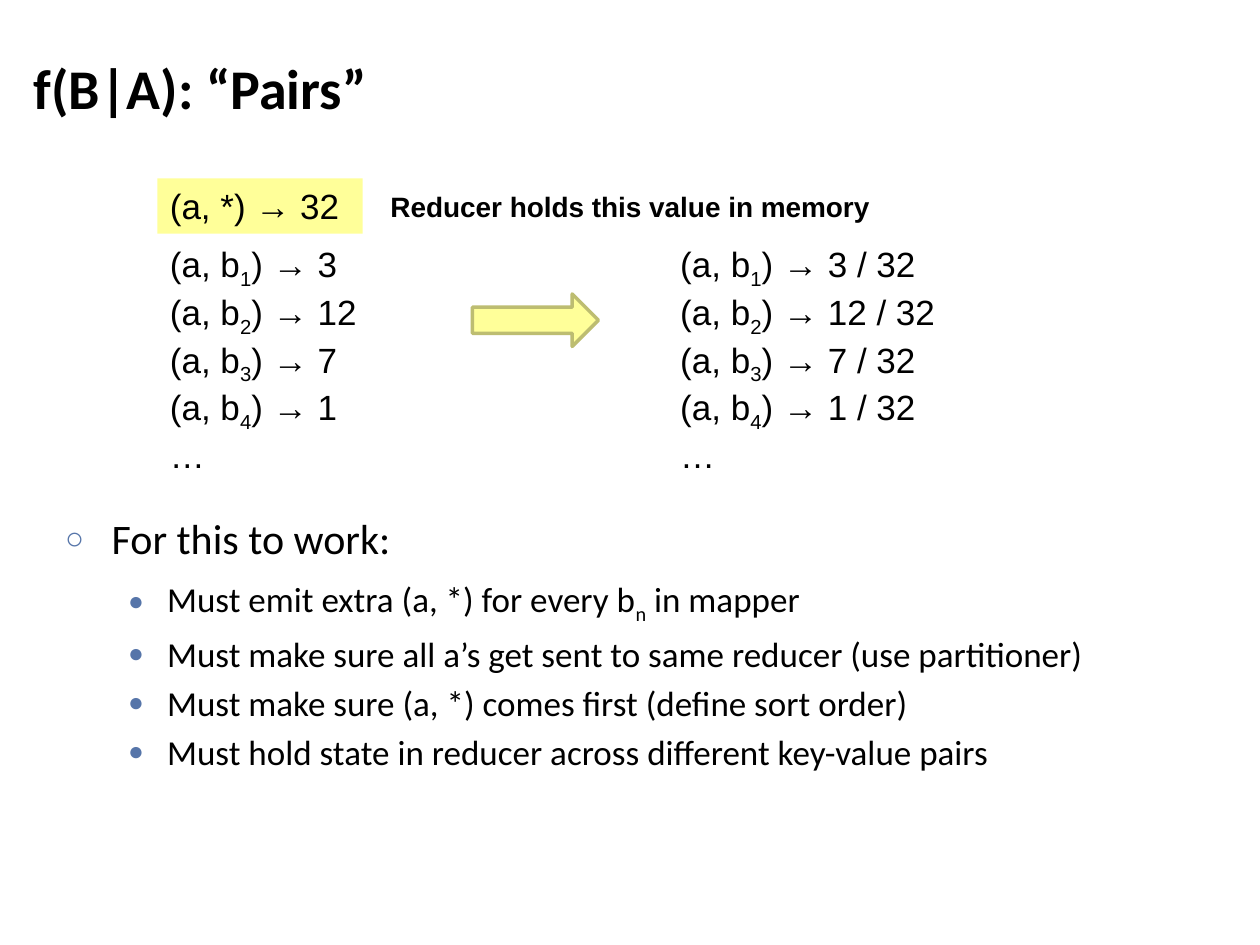
from dataclasses import dataclass

from lxml import etree
from pptx import Presentation
from pptx.dml.color import RGBColor
from pptx.enum.shapes import MSO_SHAPE
from pptx.enum.text import MSO_ANCHOR, MSO_AUTO_SIZE, PP_ALIGN
from pptx.oxml.ns import qn
from pptx.util import Inches, Pt

LEFT = PP_ALIGN.LEFT
MIDDLE, TOP = MSO_ANCHOR.MIDDLE, MSO_ANCHOR.TOP
NO_FIT, GROW = MSO_AUTO_SIZE.NONE, MSO_AUTO_SIZE.SHAPE_TO_FIT_TEXT
RECTANGLE, RIGHT_ARROW = MSO_SHAPE.RECTANGLE, MSO_SHAPE.RIGHT_ARROW

BLACK, YELLOW, OLIVE, BLUE = "000000", "FFFF99", "BDBD71", "5675A9"
HEADING_FONT, PAIR_FONT = "Calibri", "Arial"

# The slide is a grid of 240 columns by 180 rows
SLIDE_WIDTH, SLIDE_HEIGHT = Inches(10), Inches(7.5)
COLUMN, ROW = SLIDE_WIDTH / 240, SLIDE_HEIGHT / 180


@dataclass
class Area:
    column: float
    row: float
    columns: float
    rows: float

    def box(self) -> tuple[int, int, int, int]:
        return (int(self.column * COLUMN), int(self.row * ROW),
                int(self.columns * COLUMN), int(self.rows * ROW))


@dataclass
class Level:
    depth: int
    bullet: str
    size: float
    margin: float
    hanging: float
    gap: float


@dataclass
class PairList:
    area: Area
    suffix: str


TOPIC = Level(0, "○", 24, 0.37, 0.37, 6)
DETAIL = Level(1, "●", 20, 0.81, 0.31, 2)
REQUIREMENTS = [
    (TOPIC, "For this to work:"),
    (DETAIL, "Must emit extra (a, *) for every b~n~ in mapper"),
    (DETAIL, "Must make sure all a’s get sent to same reducer (use partitioner)"),
    (DETAIL, "Must make sure (a, *) comes first (define sort order)"),
    (DETAIL, "Must hold state in reducer across different key-value pairs"),
]
COUNTS = [3, 12, 7, 1]
PAIR_LISTS = [PairList(Area(30, 45, 42.7, 42.7), ""),
              PairList(Area(127.2, 45, 54, 42.7), " / 32")]


def colour(value: str) -> RGBColor:
    return RGBColor.from_string(value)


def write(paragraph, text: str, *, size: float, font: str, bold: bool = False) -> None:
    """Write one paragraph; parts between tildes are subscripts."""
    paragraph.alignment = LEFT
    for index, part in enumerate(text.split("~")):
        run = paragraph.add_run()
        run.text = part
        run.font.size, run.font.name, run.font.bold = Pt(size), font, bold
        run.font.color.rgb = colour(BLACK)
        if index % 2:
            run.font._element.set("baseline", "-25000")


def paragraph_at(frame, index: int):
    return frame.paragraphs[0] if index == 0 else frame.add_paragraph()


def fill_label(shape, lines: list[str], *, size: float, bold: bool = False) -> None:
    frame = shape.text_frame
    frame.word_wrap, frame.auto_size = False, GROW
    frame.vertical_anchor = TOP
    for index, line in enumerate(lines):
        write(paragraph_at(frame, index), line, size=size, font=PAIR_FONT, bold=bold)


def add_yellow_shape(shapes, kind, area: Area):
    shape = shapes.add_shape(kind, *area.box())
    shape.shadow.inherit = False
    shape.fill.solid()
    shape.fill.fore_color.rgb = colour(YELLOW)
    return shape


def place(placeholder, area: Area, anchor) -> None:
    placeholder.left, placeholder.top, placeholder.width, placeholder.height = area.box()
    frame = placeholder.text_frame
    frame.word_wrap, frame.auto_size = True, NO_FIT
    frame.vertical_anchor = anchor


def set_bullet(paragraph, level: Level) -> None:
    paragraph.level = level.depth
    properties = paragraph._p.get_or_add_pPr()
    properties.set("marL", str(Inches(level.margin)))
    properties.set("indent", str(-Inches(level.hanging)))
    bullet_colour = etree.SubElement(properties, qn("a:buClr"))
    etree.SubElement(bullet_colour, qn("a:srgbClr"), val=BLUE)
    etree.SubElement(properties, qn("a:buSzPct"), val="75000")
    etree.SubElement(properties, qn("a:buChar"), char=level.bullet)


def add_requirements(body) -> None:
    for index, (level, text) in enumerate(REQUIREMENTS):
        paragraph = paragraph_at(body.text_frame, index)
        set_bullet(paragraph, level)
        paragraph.space_before = Pt(level.gap if index else 0)
        paragraph.space_after = Pt(level.gap)
        write(paragraph, text, size=level.size, font=HEADING_FONT)


def main() -> None:
    presentation = Presentation()
    presentation.slide_width, presentation.slide_height = SLIDE_WIDTH, SLIDE_HEIGHT
    slide = presentation.slides.add_slide(presentation.slide_layouts[1])
    shapes = slide.shapes

    # Title and requirements
    title, body = shapes.title, slide.placeholders[1]
    place(title, Area(4, 3, 228, 27), MIDDLE)
    write(title.text_frame.paragraphs[0], "f(B|A): “Pairs”",
          size=32, font=HEADING_FONT, bold=True)
    place(body, Area(10, 96.5, 222, 65.5), TOP)
    add_requirements(body)

    # Pair counts and the frequencies made from them
    for pairs in PAIR_LISTS:
        lines = [f"(a, b~{number}~) → {count}{pairs.suffix}"
                 for number, count in enumerate(COUNTS, start=1)]
        fill_label(shapes.add_textbox(*pairs.area.box()), lines + ["…"], size=20)

    # Arrow from counts to frequencies
    arrow = add_yellow_shape(shapes, RIGHT_ARROW, Area(90, 56, 24, 10))
    arrow.line.color.rgb = colour(OLIVE)
    arrow.line.width = Pt(2)

    # Highlighted total and its remark
    total = add_yellow_shape(shapes, RECTANGLE, Area(30, 34, 39.1, 10.5))
    total.line.fill.background()
    fill_label(total, ["(a, *) → 32"], size=20)
    remark = shapes.add_textbox(*Area(72, 35, 97.5, 8.9).box())
    fill_label(remark, ["Reducer holds this value in memory"], size=16, bold=True)

    presentation.save("out.pptx")


if __name__ == "__main__":
    main()
